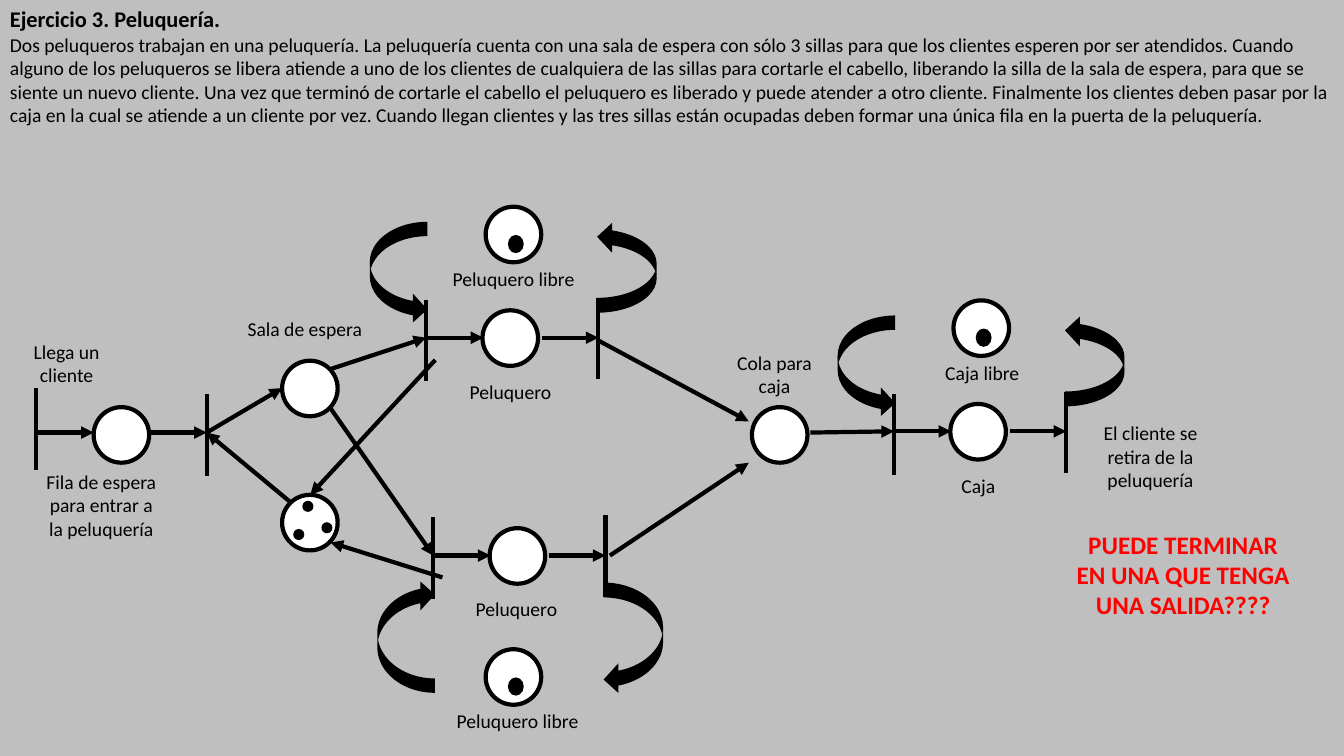
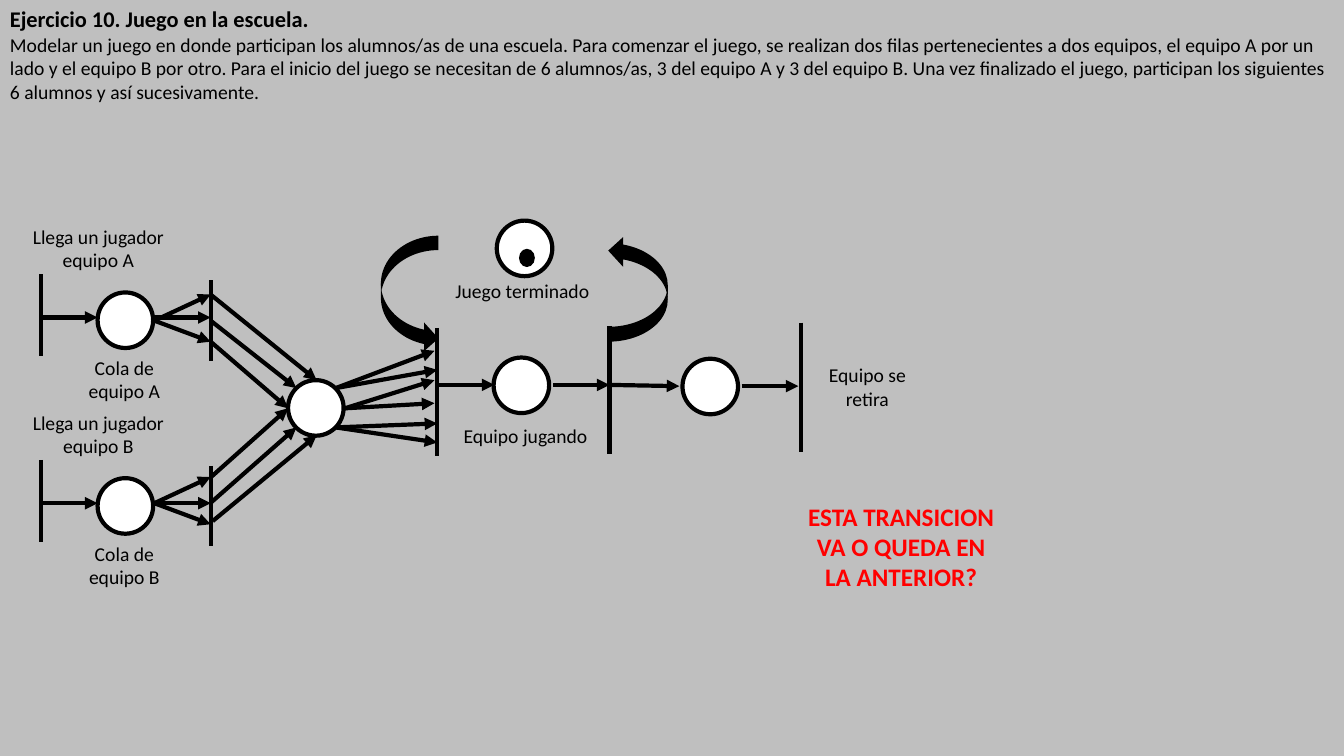
from pptx import Presentation
from pptx.dml.color import RGBColor
from pptx.enum.shapes import MSO_CONNECTOR, MSO_SHAPE
from pptx.enum.text import MSO_ANCHOR, MSO_AUTO_SIZE, PP_ALIGN
from pptx.oxml.ns import qn
from pptx.oxml.xmlchemy import OxmlElement
from pptx.util import Cm, Pt

BLACK = RGBColor(0x00, 0x00, 0x00)
WHITE = RGBColor(0xFF, 0xFF, 0xFF)
RED = RGBColor(0xFF, 0x00, 0x00)
GRAY = RGBColor(0xBF, 0xBF, 0xBF)
FONT = "Calibri"
LEFT, CENTER = PP_ALIGN.LEFT, PP_ALIGN.CENTER
TOP = MSO_ANCHOR.TOP
NO_FIT, GROW = MSO_AUTO_SIZE.NONE, MSO_AUTO_SIZE.SHAPE_TO_FIT_TEXT
OVAL, CURVED = MSO_SHAPE.OVAL, MSO_SHAPE.CURVED_DOWN_ARROW
STRAIGHT = MSO_CONNECTOR.STRAIGHT
WIDTH, HEIGHT = 33.87, 19.05
PLACE = 1.4
LINE = Pt(3)


def write(tf, text, size=14, color=BLACK, bold=False, align=CENTER, fit=GROW):
    p = tf.paragraphs[0]
    p.alignment = align
    p.space_before = Pt(0)
    p.line_spacing = 1.0
    r = p.add_run()
    r.text = text
    r.font.name = FONT
    r.font.size = Pt(size)
    r.font.bold = bold
    r.font.color.rgb = color
    tf.word_wrap = True
    tf.auto_size = fit
    tf.vertical_anchor = TOP
    return p


class PetriDeck:
    """Petri net slides that share one style."""

    def __init__(self):
        self.prs = Presentation()
        self.prs.slide_width = Cm(WIDTH)
        self.prs.slide_height = Cm(HEIGHT)
        fill = self.prs.slide_master.background.fill
        fill.solid()
        fill.fore_color.rgb = GRAY
        self.s = None

    def slide(self, title, statement, height):
        self.s = self.prs.slides.add_slide(self.prs.slide_layouts[1])
        title_sp, body_sp = self.s.placeholders
        self.heading(title_sp, title, 0, 0.82, 0.13, size=16, bold=True)
        p = self.heading(body_sp, statement, 0.82, height, 0)
        pPr = p._p.get_or_add_pPr()
        pPr.set("marL", "0")
        pPr.set("indent", "0")
        pPr.append(OxmlElement("a:buNone"))

    def heading(self, sp, text, y, h, inset, **fmt):
        sp.left, sp.top, sp.width, sp.height = Cm(0), Cm(y), Cm(WIDTH), Cm(h)
        tf = sp.text_frame
        tf.margin_left = tf.margin_right = Cm(0.25)
        tf.margin_top, tf.margin_bottom = Cm(inset), Cm(0)
        return write(tf, text, align=LEFT, fit=NO_FIT, **fmt)

    def label(self, text, x, y, w, lines=1, size=14, **fmt):
        h = 0.25 + 0.043 * size * lines
        sp = self.s.shapes.add_textbox(Cm(x), Cm(y), Cm(w), Cm(h))
        write(sp.text_frame, text, size=size, **fmt)

    def shape(self, kind, x, y, w, h, fill=BLACK):
        sp = self.s.shapes.add_shape(kind, Cm(x), Cm(y), Cm(w), Cm(h))
        sp.shadow.inherit = False
        sp.fill.solid()
        sp.fill.fore_color.rgb = fill
        sp.line.fill.background()
        return sp

    def place(self, x, y):
        sp = self.shape(OVAL, x, y, PLACE, PLACE, WHITE)
        sp.line.color.rgb = BLACK
        sp.line.width = LINE

    def free_place(self, x, y):
        self.place(x, y)
        self.shape(OVAL, x + 0.56, y + 0.71, 0.4, 0.46)

    def loop(self, x, y, w, h, flips):
        sp = self.shape(CURVED, x + (w - h) / 2, y + (h - w) / 2, h, w)
        sp.rotation = 90
        xfrm = sp.element.spPr.find(qn("a:xfrm"))
        for axis in flips:
            xfrm.set("flip" + axis, "1")

    def line(self, x1, y1, x2, y2):
        cx = self.s.shapes.add_connector(STRAIGHT, Cm(x1), Cm(y1), Cm(x2), Cm(y2))
        cx.line.color.rgb = BLACK
        cx.line.width = LINE
        cx.element.spPr.append(OxmlElement("a:effectLst"))
        return cx

    def bar(self, x, top, bottom):
        self.line(x, top, x, bottom)

    def arrow(self, x1, y1, x2, y2):
        cx = self.line(x1, y1, x2, y2)
        tail = OxmlElement("a:tailEnd")
        tail.set("type", "triangle")
        cx.element.spPr.find(qn("a:ln")).append(tail)

    def server(self, x, axis, top, bottom):
        self.place(x + 1.42, axis - 0.69)
        self.bar(x, top, bottom)
        self.bar(x + 4.34, top - 0.05, bottom - 0.05)
        self.arrow(x, axis, x + 1.44, axis)
        self.arrow(x + 2.92, axis, x + 4.34, axis)

    def looped_server(self, x, axis, top, bottom, free_y, loop_h):
        self.server(x, axis, top, bottom)
        self.free_place(x + 1.5, free_y)
        self.loop(x - 1.42, free_y + 0.38, 1.45, loop_h, "V")
        self.loop(x + 4.31, free_y + 0.38, 1.5, loop_h - 0.28, "H")


def hairdresser(deck):
    deck.slide(
        "Ejercicio 3. Peluquería.",
        "Dos peluqueros trabajan en una peluquería. La peluquería cuenta con una "
        "sala de espera con sólo 3 sillas para que los clientes esperen por ser "
        "atendidos. Cuando alguno de los peluqueros se libera atiende a uno de los "
        "clientes de cualquiera de las sillas para cortarle el cabello, liberando "
        "la silla de la sala de espera, para que se siente un nuevo cliente. Una "
        "vez que terminó de cortarle el cabello el peluquero es liberado y puede "
        "atender a otro cliente. Finalmente los clientes deben pasar por la caja en "
        "la cual se atiende a un cliente por vez. Cuando llegan clientes y las tres "
        "sillas están ocupadas deben formar una única fila en la puerta de la "
        "peluquería.",
        2.51)
    chairs_x, chairs_y = 7.11, 12.47
    for x, y in ((2.36, 10.26), (chairs_x, chairs_y), (chairs_x, 9.09), (18.95, 10.26)):
        deck.place(x, y)
    for dx, dy in ((0.28, 0.86), (0.51, 0.15), (0.99, 0.69)):
        deck.shape(OVAL, chairs_x + dx, chairs_y + dy, 0.28, 0.28)

    deck.bar(0.91, 9.78, 11.84)
    deck.bar(5.21, 9.93, 11.99)
    deck.looped_server(10.74, 8.51, 7.57, 9.6, 5.21, 2.57)
    deck.looped_server(22.53, 10.87, 9.93, 11.96, 7.57, 2.57)
    deck.server(10.92, 14, 13.03, 15.09)
    deck.free_place(12.24, 16.36)
    deck.loop(9.51, 14.62, 1.45, 2.84, "HV")
    deck.loop(15.21, 14.68, 1.5, 2.82, "")

    for ends in (
        (0.91, 10.9, 2.36, 10.9), (3.76, 10.9, 5.21, 10.9),
        (7.34, 12.67, 5.21, 10.9), (5.21, 10.9, 7.11, 9.78),
        (8.33, 9.3, 10.74, 8.51), (10.97, 9.07, 7.82, 12.47),
        (8.33, 10.29, 10.92, 14), (11.15, 14.55, 8.33, 13.67),
        (15.04, 8.56, 18.87, 10.62), (15.37, 14, 18.87, 11.66),
        (20.42, 10.9, 22.53, 10.87),
    ):
        deck.arrow(*ends)

    for label in (
        ("Llega un cliente", 0.46, 8.43, 2.44, 2),
        ("Fila de espera para entrar a la peluquería", 0.89, 11.71, 3.33, 3),
        ("Sala de espera", 5.69, 7.87, 3.99),
        ("Peluquero libre", 11, 6.6, 3.89),
        ("Peluquero", 11.2, 9.45, 3.33),
        ("Peluquero libre", 11.1, 17.75, 3.89),
        ("Peluquero", 11.35, 14.91, 3.33),
        ("Cola para caja", 17.93, 8.71, 3.18, 2),
        ("Caja libre", 22.81, 8.97, 3.89),
        ("Caja", 22.99, 11.81, 3.33),
        ("El cliente se retira de la peluquería", 27.33, 10.49, 3.33, 3),
    ):
        deck.label(*label)
    deck.label("PUEDE TERMINAR EN UNA QUE TENGA UNA SALIDA????",
               26.87, 13.21, 5.89, 3, size=18, color=RED, bold=True)


def school_game(deck):
    deck.slide(
        "Ejercicio 10. Juego en la escuela.",
        "Modelar un juego en donde participan los alumnos/as de una escuela. Para "
        "comenzar el juego, se realizan dos filas pertenecientes a dos equipos, el "
        "equipo A por un lado y el equipo B por otro. Para el inicio del juego se "
        "necesitan de 6 alumnos/as, 3 del equipo A y 3 del equipo B. Una vez "
        "finalizado el juego, participan los siguientes 6 alumnos y así "
        "sucesivamente.",
        1.92)
    for team, axis, fan_y in (("A", 8, 8.08), ("B", 12.68, 12.68)):
        deck.place(2.46, axis - 0.63)
        deck.bar(1.04, axis - 1.09, axis + 0.97)
        deck.bar(5.31, axis - 0.94, axis + 1.09)
        deck.arrow(1.04, axis, 2.46, axis)
        deck.arrow(3.89, axis, 5.31, axis)
        for dy in (-0.66, 0.53):
            deck.arrow(3.89, fan_y, 5.31, fan_y + dy)
        deck.label(f"Llega un jugador equipo {team}", 0.56, axis - 2.46, 3.84, 2)
        deck.label(f"Cola de equipo {team}", 1.47, axis + 0.84, 3.33, 2)

    deck.place(7.26, 9.58)
    deck.place(17.2, 9.04)
    deck.looped_server(11.02, 9.7, 8.26, 11.48, 5.56, 2.95)
    deck.bar(20.19, 8.13, 11.4)
    for ends in (
        (5.33, 7.44, 7.98, 9.58), (5.31, 8.08, 7.47, 9.78),
        (5.31, 8.61, 7.26, 10.29), (5.33, 12.01, 7.26, 10.29),
        (5.31, 12.67, 7.47, 10.77), (5.36, 13.13, 7.98, 10.97),
        (8.46, 9.78, 10.95, 8.84), (8.46, 9.78, 11.02, 9.32),
        (8.69, 10.29, 10.95, 9.58), (8.69, 10.29, 10.95, 10.16),
        (8.46, 10.77, 11.02, 10.67), (8.46, 10.77, 11.02, 11.15),
        (15.37, 9.7, 17.12, 9.73), (18.69, 9.73, 20.12, 9.73),
    ):
        deck.arrow(*ends)

    deck.label("Juego terminado", 11.02, 6.91, 4.29)
    deck.label("Equipo jugando", 11.1, 10.57, 4.29)
    deck.label("Equipo se retira", 20.27, 9.02, 3.18, 2)
    deck.label("ESTA TRANSICION VA O QUEDA EN LA ANTERIOR?",
               20.02, 12.5, 5.38, 3, size=18, color=RED, bold=True)


def main():
    deck = PetriDeck()
    hairdresser(deck)
    school_game(deck)
    deck.prs.save("out.pptx")


if __name__ == "__main__":
    main()
